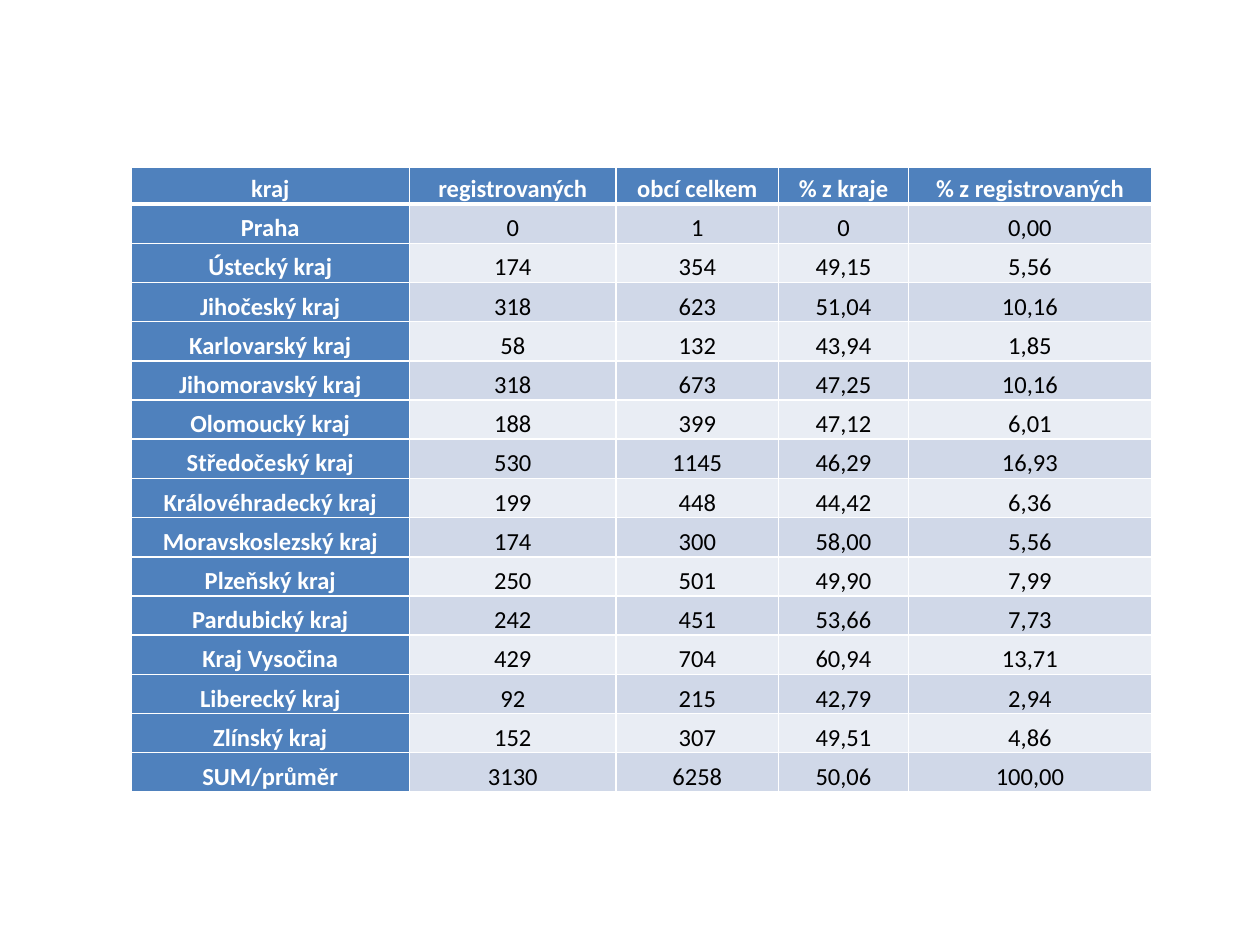
from lxml import etree
from pptx import Presentation
from pptx import util as u
from pptx.dml.color import RGBColor
from pptx.enum import text
from pptx.oxml.ns import qn

# Content
HEADER = ("kraj", "registrovaných", "obcí celkem", "% z kraje", "% z registrovaných")
REGIONS = [
    ("Praha", "0", "1", "0", "0,00"),
    ("Ústecký kraj", "174", "354", "49,15", "5,56"),
    ("Jihočeský kraj", "318", "623", "51,04", "10,16"),
    ("Karlovarský kraj", "58", "132", "43,94", "1,85"),
    ("Jihomoravský kraj", "318", "673", "47,25", "10,16"),
    ("Olomoucký kraj", "188", "399", "47,12", "6,01"),
    ("Středočeský kraj", "530", "1145", "46,29", "16,93"),
    ("Královéhradecký kraj", "199", "448", "44,42", "6,36"),
    ("Moravskoslezský kraj", "174", "300", "58,00", "5,56"),
    ("Plzeňský kraj", "250", "501", "49,90", "7,99"),
    ("Pardubický kraj", "242", "451", "53,66", "7,73"),
    ("Kraj Vysočina", "429", "704", "60,94", "13,71"),
    ("Liberecký kraj", "92", "215", "42,79", "2,94"),
    ("Zlínský kraj", "152", "307", "49,51", "4,86"),
    ("SUM/průměr", "3130", "6258", "50,06", "100,00"),
]
ROWS = [HEADER] + REGIONS

THEME = {
    "font": "Calibri", "size": 14,
    "head_fill": "4F81BD", "head_text": "FFFFFF",
    "bands": ("D0D8E8", "E9EDF4"), "body_text": "000000",
    "border": "FFFFFF", "thin": 1, "thick": 3,
}

# Geometry in inches
LEFT, TOP, HEIGHT = 1.04, 1.33, 4.96
COL_WIDTHS = (2.21, 1.64, 1.29, 1.03, 1.93)
HEAD_HEIGHT = 0.29
ROW_HEIGHT = (HEIGHT - HEAD_HEIGHT) / len(REGIONS)


def add_border(cell, side, points):
    tcPr = cell._tc.get_or_add_tcPr()
    ln = etree.SubElement(tcPr, qn("a:ln" + side), w=str(u.Pt(points)))
    fill = etree.SubElement(ln, qn("a:solidFill"))
    etree.SubElement(fill, qn("a:srgbClr"), val=THEME["border"])


def fill_cell(cell, value, row, col):
    is_head = row == 0 or col == 0
    # Borders: a thick rule separates the header from the body
    for side in "LRTB":
        at_rule = (row, side) in ((0, "B"), (1, "T"))
        add_border(cell, side, THEME["thick" if at_rule else "thin"])
    cell.fill.solid()
    fill = THEME["head_fill"] if is_head else THEME["bands"][(row - 1) % 2]
    cell.fill.fore_color.rgb = RGBColor.from_string(fill)
    cell.margin_left = cell.margin_right = u.Inches(0.04)
    cell.margin_top = cell.margin_bottom = 0
    cell.vertical_anchor = text.MSO_ANCHOR.BOTTOM

    p = cell.text_frame.paragraphs[0]
    p.alignment = text.PP_ALIGN.CENTER
    r = p.add_run()
    r.text = value
    r.font.name = THEME["font"]
    r.font.size = u.Pt(THEME["size"])
    r.font.bold = is_head
    color = THEME["head_text" if is_head else "body_text"]
    r.font.color.rgb = RGBColor.from_string(color)


def main():
    prs = Presentation()
    prs.slide_width, prs.slide_height = u.Inches(10), u.Inches(7.5)
    s = prs.slides.add_slide(prs.slide_layouts[6])

    # Table of registered municipalities by region
    frame = s.shapes.add_table(
        len(ROWS), len(HEADER), u.Inches(LEFT), u.Inches(TOP),
        u.Inches(sum(COL_WIDTHS)), u.Inches(HEIGHT))
    table = frame.table
    table.first_col = True
    for column, width in zip(table.columns, COL_WIDTHS):
        column.width = u.Inches(width)
    for i, values in enumerate(ROWS):
        table.rows[i].height = u.Inches(ROW_HEIGHT if i else HEAD_HEIGHT)
        for j, value in enumerate(values):
            fill_cell(table.cell(i, j), value, i, j)

    prs.save("out.pptx")


if __name__ == "__main__":
    main()
